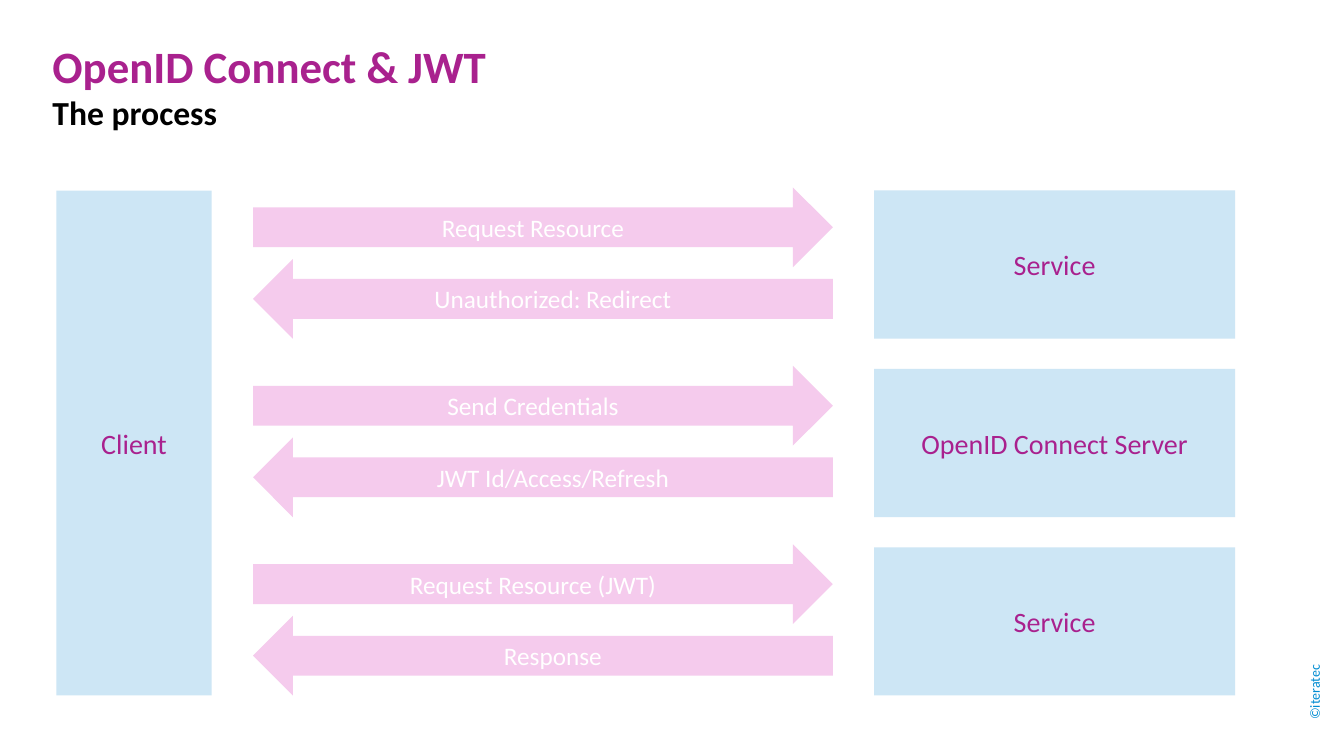
from dataclasses import dataclass

from pptx import Presentation
from pptx.dml.color import RGBColor
from pptx.enum.shapes import MSO_SHAPE
from pptx.enum.text import MSO_ANCHOR, MSO_AUTO_SIZE, PP_ALIGN
from pptx.util import Pt

TITLE = "OpenID Connect & JWT"
SUBTITLE = "The process"
CREDIT = "©iteratec"
CLIENT = "Client"
STEPS = [
    ("Service", "Request Resource", "Unauthorized: Redirect"),
    ("OpenID Connect Server", "Send Credentials", "JWT Id/Access/Refresh"),
    ("Service", "Request Resource (JWT)", "Response"),
]


@dataclass(frozen=True)
class Theme:
    font: str = "Calibri"
    accent: str = "A9218E"
    panel: str = "CDE6F5"
    arrow: str = "F5CBED"
    light: str = "FFFFFF"
    dark: str = "000000"
    credit: str = "008CD2"
    head: int = 32
    sub: int = 24
    node: int = 20
    label: int = 18
    small: int = 10


THEME = Theme()
SCALE = 9144
TOP = 189
PITCH = 177
NODE_H = 147
ARROW_H = 79
ARROW_GAP = 71


def px(*sizes):
    return [size * SCALE for size in sizes]


def write(frame, text, size, color, bold=False, align=PP_ALIGN.LEFT):
    para = frame.paragraphs[0]
    para.alignment = align
    run = para.add_run()
    run.text = text
    font = run.font
    font.name, font.size, font.bold = THEME.font, Pt(size), bold
    font.color.rgb = RGBColor.from_string(color)
    return para


def trim(frame, anchor=MSO_ANCHOR.TOP, wrap=True):
    frame.margin_left = frame.margin_right = 0
    frame.margin_top = frame.margin_bottom = 0
    frame.auto_size = MSO_AUTO_SIZE.NONE
    frame.vertical_anchor = anchor
    frame.word_wrap = wrap


def block(slide, kind, area, text, fill, size, color):
    shape = slide.shapes.add_shape(kind, *px(*area))
    shape.shadow.inherit = False
    shape.fill.solid()
    shape.fill.fore_color.rgb = RGBColor.from_string(fill)
    shape.line.fill.background()
    shape.text_frame.vertical_anchor = MSO_ANCHOR.MIDDLE
    write(shape.text_frame, text, size, color, align=PP_ALIGN.CENTER)


def node(slide, area, text):
    block(slide, MSO_SHAPE.RECTANGLE, area, text,
          THEME.panel, THEME.node, THEME.accent)


def arrow(slide, kind, top, text):
    block(slide, kind, (251, top, 575, ARROW_H), text,
          THEME.arrow, THEME.label, THEME.light)


def header(slide):
    title = slide.shapes.title
    title.left, title.top, title.width, title.height = px(52, 44, 1228, 47)
    trim(title.text_frame)
    para = write(title.text_frame, TITLE, THEME.head, THEME.accent, True)
    para.line_spacing = 0.9
    sub = slide.shapes.add_textbox(*px(52, 91, 1228, 47))
    trim(sub.text_frame)
    write(sub.text_frame, SUBTITLE, THEME.sub, THEME.dark, True)


def credit(slide):
    box = slide.shapes.add_textbox(*px(1281, 651, 31, 63))
    trim(box.text_frame, MSO_ANCHOR.BOTTOM, False)
    box.element.txBody.bodyPr.set("vert", "vert270")
    write(box.text_frame, CREDIT, THEME.small, THEME.credit)


def main():
    deck = Presentation()
    deck.slide_width, deck.slide_height = px(1333, 750)
    slide = deck.slides.add_slide(deck.slide_layouts[5])
    header(slide)
    span = PITCH * (len(STEPS) - 1) + NODE_H
    node(slide, (56, TOP, 154, span), CLIENT)
    for row, (server, ask, reply) in enumerate(STEPS):
        top = TOP + row * PITCH
        node(slide, (867, top, 358, NODE_H), server)
        arrow(slide, MSO_SHAPE.RIGHT_ARROW, top - 3, ask)
        arrow(slide, MSO_SHAPE.LEFT_ARROW, top - 3 + ARROW_GAP, reply)
    credit(slide)
    deck.save("out.pptx")


if __name__ == "__main__":
    main()
